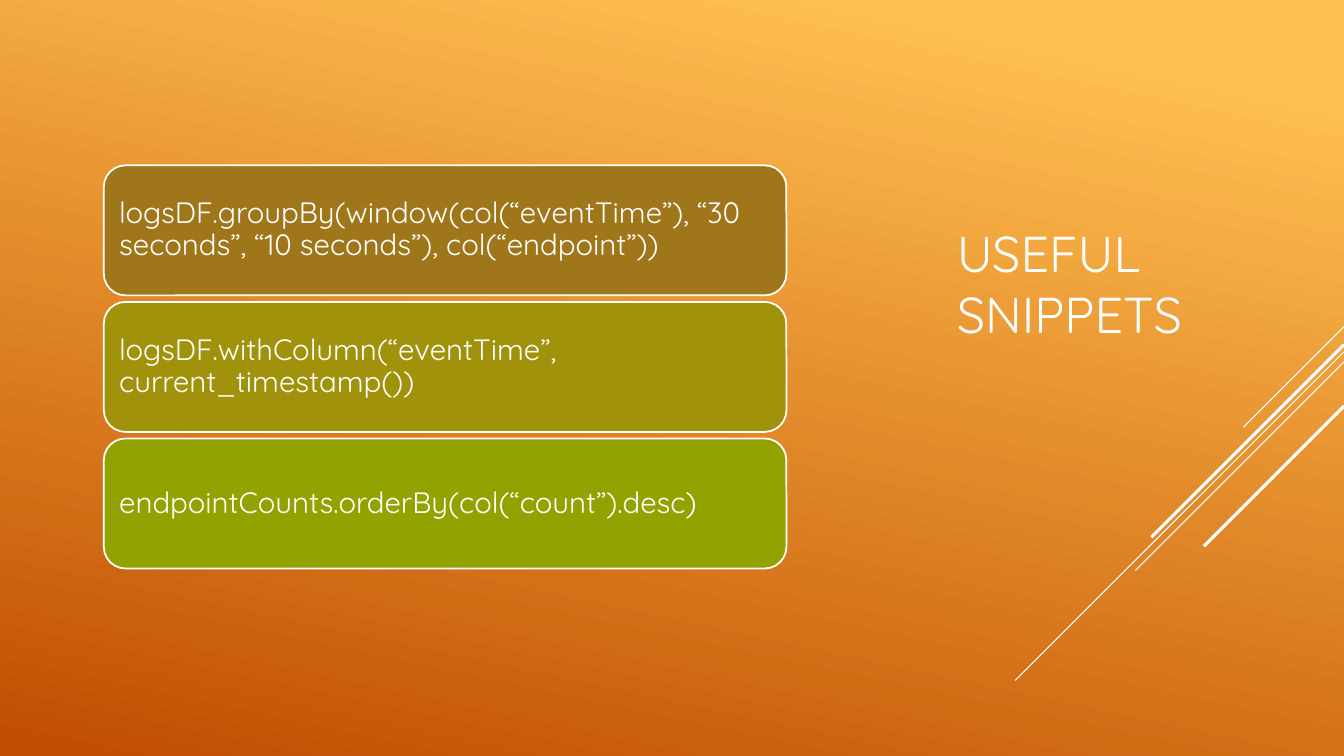
from dataclasses import dataclass

from lxml.etree import SubElement
from pptx import Presentation
from pptx.dml.color import RGBColor as Color
from pptx.enum.shapes import MSO_CONNECTOR as Connector, MSO_SHAPE as Shape
from pptx.enum.text import MSO_ANCHOR as Anchor, MSO_AUTO_SIZE as AutoSize, PP_ALIGN as Align
from pptx.oxml.ns import qn
from pptx.util import Inches, Pt


@dataclass(frozen=True)
class Theme:
    font: str = "Quicksand"
    title_size: int = 36
    snippet_size: int = 21
    white: Color = Color.from_string("FFFFFF")
    glow: Color = Color.from_string("FFBF50")
    ember: Color = Color.from_string("C04D00")
    cards: tuple = ("9F761A", "A1920C", "92A200")


theme = Theme()


def write_text(shape, text, size):
    text_frame = shape.text_frame
    text_frame.text = text
    text_frame.word_wrap = True
    text_frame.auto_size = AutoSize.NONE
    text_frame.vertical_anchor = Anchor.MIDDLE
    paragraph = text_frame.paragraphs[0]
    paragraph.alignment = Align.LEFT
    font = paragraph.runs[0].font
    font.name = theme.font
    font.size = Pt(size)
    font.color.rgb = theme.white
    return paragraph


presentation = Presentation()
presentation.slide_width = Inches(13.33)
presentation.slide_height = Inches(7.5)
slide = presentation.slides.add_slide(presentation.slide_layouts[5])

background = slide.background.fill
background.gradient()
background.gradient_angle = 258
for stop, color, position in zip(background.gradient_stops, (theme.glow, theme.ember), (0.1, 1)):
    stop.color.rgb = color
    stop.position = position

title = slide.shapes.title
title.left, title.top = Inches(9.39), Inches(1.03)
title.width, title.height = Inches(3.33), Inches(3.55)
write_text(title, "USEFUL SNIPPETS", theme.title_size)

right_edge = presentation.slide_width
diagonals = [
    (3.24, 1.0, 0.75),
    (3.49, 3.26, 0.75),
    (3.59, 2.07, 0.75),
    (3.42, 1.91, 2.25),
    (4.03, 1.39, 2.25),
]
for top, reach, weight in diagonals:
    diagonal = slide.shapes.add_connector(
        Connector.STRAIGHT,
        right_edge, Inches(top),
        right_edge - Inches(reach), Inches(top + reach),
    )
    diagonal.line.color.rgb = theme.white
    diagonal.line.width = Pt(weight)
    SubElement(diagonal._element.spPr, qn("a:effectLst"))

snippets = [
    "logsDF.groupBy(window(col(“eventTime”), “30 seconds”, “10 seconds”), col(“endpoint”))",
    "logsDF.withColumn(“eventTime”, current_timestamp())",
    "endpointCounts.orderBy(col(“count”).desc)",
]
card_left, card_top, card_width, card_height, card_gap = 1.03, 1.64, 6.77, 1.29, 0.065
for row, (snippet, color) in enumerate(zip(snippets, theme.cards)):
    card = slide.shapes.add_shape(
        Shape.ROUNDED_RECTANGLE,
        Inches(card_left), Inches(card_top + row * (card_height + card_gap)),
        Inches(card_width), Inches(card_height),
    )
    card.shadow.inherit = False
    card.fill.solid()
    card.fill.fore_color.rgb = Color.from_string(color)
    card.line.color.rgb = theme.white
    card.line.width = Pt(1.25)
    paragraph = write_text(card, snippet, theme.snippet_size)
    paragraph.line_spacing = 0.9
    card.text_frame.margin_left = card.text_frame.margin_right = Inches(0.09)

presentation.save("out.pptx")
